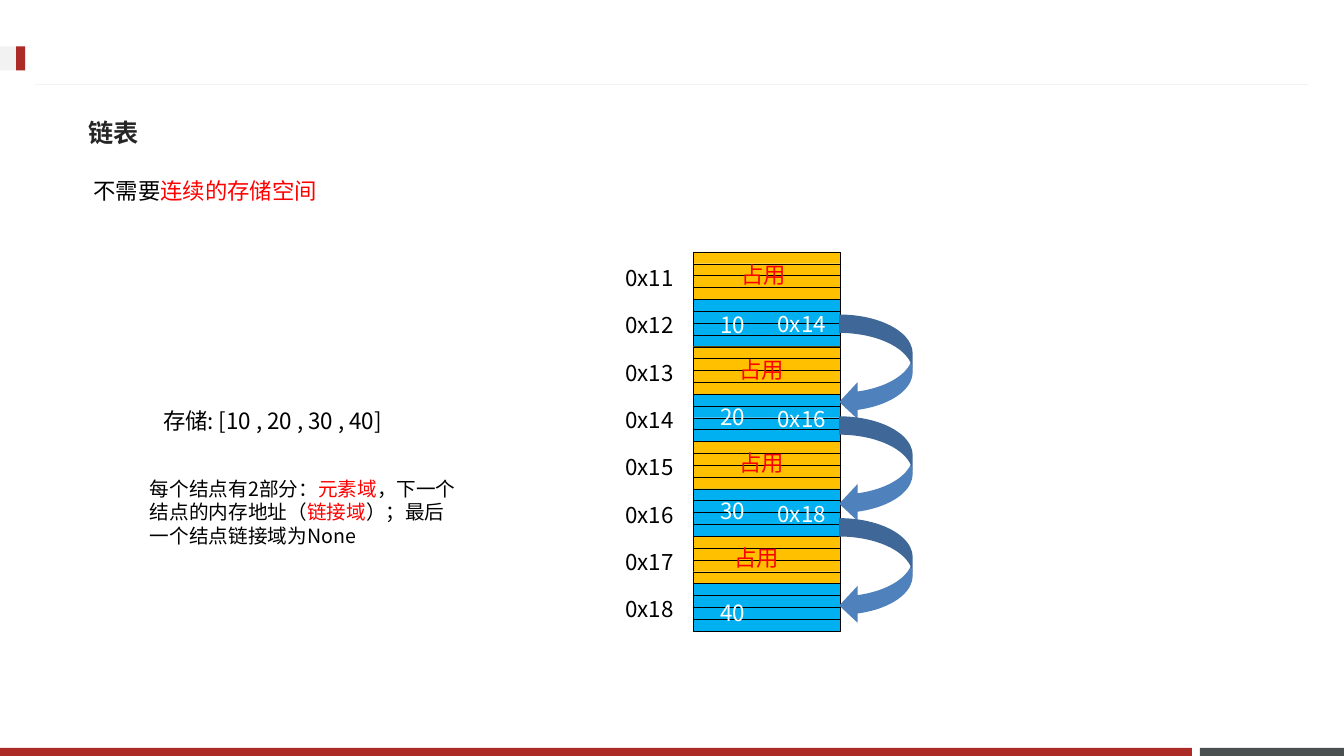
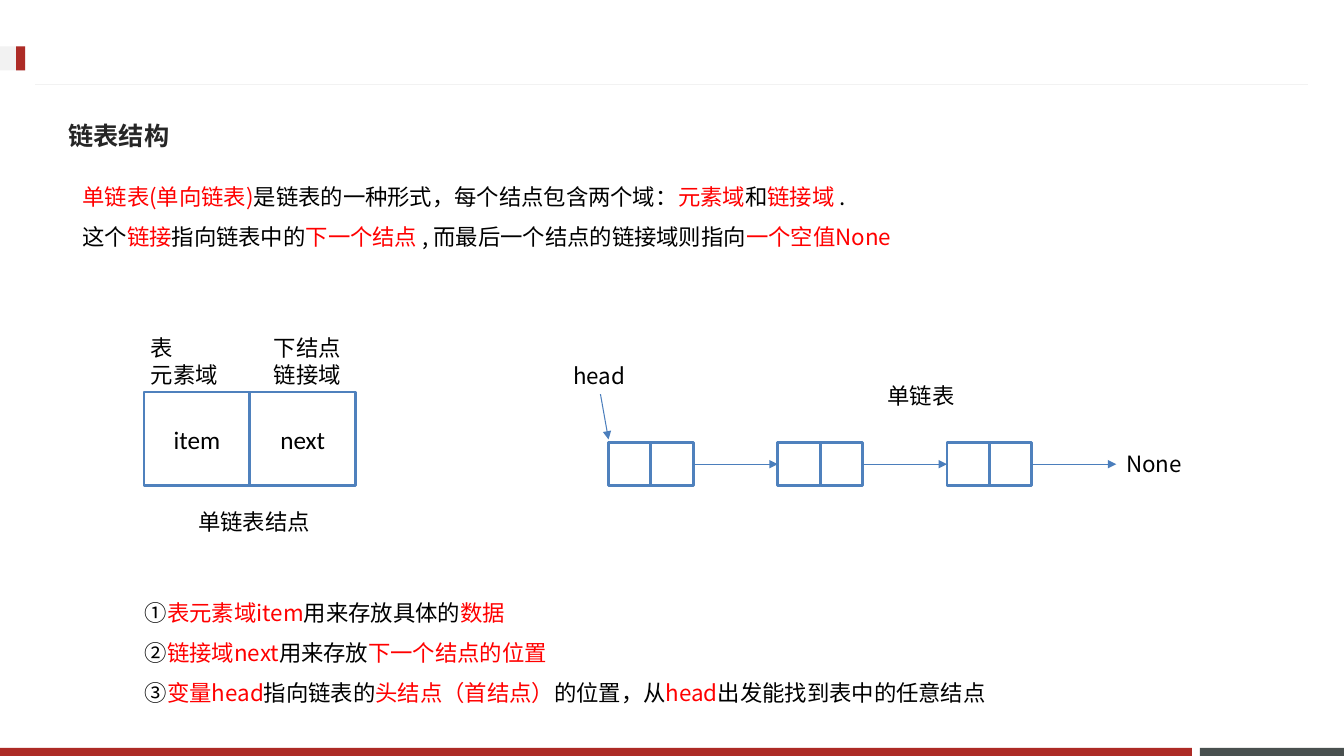
from lxml.etree import SubElement
from pptx import Presentation
from pptx.dml.color import RGBColor
from pptx.enum.shapes import MSO_CONNECTOR, MSO_SHAPE
from pptx.enum.text import MSO_ANCHOR, MSO_AUTO_SIZE, PP_ALIGN
from pptx.oxml.ns import qn
from pptx.util import Inches, Pt

FONT = "Noto Sans CJK SC"
TITLE_FONT = "Noto Sans CJK JP"
BLACK, WHITE, RED = "000000", "FFFFFF", "FF0000"
BRAND, SLATE, PALE = "AD2B26", "49504F", "F2F2F2"
USED, FREE = "FFC000", "00B0F0"
BLUE, ARROW_BLUE, TITLE_INK = "4F81BD", "4B7EBC", "262626"
LABEL_HEIGHT = 0.37


def rgb(value):
    return RGBColor.from_string(value)


def apply(target, **values):
    for name, value in values.items():
        setattr(target, name, value)


def add_span(para, text, color, size=16, font=FONT, bold=False):
    span = para.add_run()
    span.text = text
    apply(span.font, name=font, size=Pt(size), bold=bold)
    span.font.color.rgb = rgb(color)
    SubElement(span.font._element, qn("a:ea"), typeface=font)


def add_text(page, left, top, width, height, *lines, color=BLACK, size=16,
             wrap=False, spacing=None):
    """Add a text box; in each line, every second part between bars is red."""
    box = page.shapes.add_textbox(*map(Inches, (left, top, width, height)))
    frame = box.text_frame
    apply(frame, word_wrap=wrap, auto_size=MSO_AUTO_SIZE.SHAPE_TO_FIT_TEXT)
    for number, line in enumerate(lines):
        para = frame.add_paragraph() if number else frame.paragraphs[0]
        if spacing:
            para.line_spacing = spacing
        for part, text in enumerate(line.split("|")):
            if text:
                add_span(para, text, RED if part % 2 else color, size)
    return box


def add_box(page, left, top, width, height, fill, line=None, line_width=1,
            kind=MSO_SHAPE.RECTANGLE):
    box = page.shapes.add_shape(kind, *map(Inches, (left, top, width, height)))
    box.shadow.inherit = False
    box.fill.solid()
    box.fill.fore_color.rgb = rgb(fill)
    if line:
        box.line.color.rgb = rgb(line)
        box.line.width = Pt(line_width)
    else:
        box.line.fill.background()
    return box


def add_line(page, start, end, color, arrow=False):
    line = page.shapes.add_connector(MSO_CONNECTOR.STRAIGHT,
                                     *map(Inches, (*start, *end)))
    line.line.color.rgb = rgb(color)
    line.line.width = Pt(0.75)
    properties = line.element.spPr
    if arrow:
        SubElement(properties.find(qn("a:ln")), qn("a:tailEnd"), type="triangle")
    SubElement(properties, qn("a:effectLst"))
    return line


def add_frame(page):
    """Draw the bands and header rule, then hand them to the shared layout."""
    parts = [
        add_box(page, 11.91, 7.42, 1.43, 0.08, SLATE),
        add_box(page, 0, 7.42, 11.83, 0.08, BRAND),
        add_line(page, (12.98, 0.84), (0.35, 0.84), PALE),
        add_box(page, 0, 0.46, 0.25, 0.24, PALE),
        add_box(page, 0.16, 0.46, 0.09, 0.24, BRAND),
    ]
    for number, part in enumerate(parts, start=101):
        part.element.xpath("./*/p:cNvPr")[0].set("id", str(number))
        page.slide_layout.shapes.element.append(part.element)


def add_page(deck, title, left, top):
    page = deck.slides.add_slide(deck.slide_layouts[5])
    box = page.shapes.title
    apply(box, left=Inches(left), top=Inches(top),
          width=Inches(11.76), height=Inches(0.57))
    apply(box.text_frame, vertical_anchor=MSO_ANCHOR.MIDDLE,
          auto_size=MSO_AUTO_SIZE.NONE, word_wrap=True)
    para = box.text_frame.paragraphs[0]
    para.alignment = PP_ALIGN.LEFT
    add_span(para, title, TITLE_INK, 18, TITLE_FONT, True)
    return page


def add_memory(page, left, top):
    """Draw the column of memory cells with addresses, contents and links."""
    width, cell_height, strips = 1.46, 0.47, 4
    strip_height = cell_height / strips
    # Content, its offset from the cell's corner, address of the next node
    cells = [
        ("占用", 0.38, 0.04, None),
        ("10", 0.17, 0.07, "0x14"),
        ("占用", 0.36, 0.04, None),
        ("20", 0.17, 0.04, "0x16"),
        ("占用", 0.36, 0.03, None),
        ("30", 0.17, 0.03, "0x18"),
        ("占用", 0.31, 0.03, None),
        ("40", 0.17, 0.1, None),
    ]
    for row, (content, shift, drop, link) in enumerate(cells):
        used = content == "占用"
        cell_top = top + row * cell_height
        for strip in range(strips):
            add_box(page, left, cell_top + strip * strip_height, width,
                    strip_height, USED if used else FREE, BLACK, 0.25)
        add_text(page, left - 0.77, cell_top + 0.07, 0.71, LABEL_HEIGHT,
                 f"0x{11 + row}")
        add_text(page, left + shift, cell_top + drop, 0.65 if used else 0.46,
                 LABEL_HEIGHT, content, color=RED if used else WHITE)
        if link:
            add_text(page, left + 0.74, cell_top + 0.06, 0.71, LABEL_HEIGHT,
                     link, color=WHITE)
    for jump in range(3):
        add_box(page, left + width - 0.01, top + 0.62 + jump * 1.01, 0.73, 1.05,
                BLUE, kind=MSO_SHAPE.CURVED_LEFT_ARROW)


def add_node(page, left, top, width, height, texts=("", "")):
    """Draw two joined cells and return them."""
    cells = []
    for column, text in enumerate(texts):
        cell = add_box(page, left + column * width, top, width, height,
                       WHITE, BLUE, 2)
        if text:
            cell.text_frame.vertical_anchor = MSO_ANCHOR.MIDDLE
            para = cell.text_frame.paragraphs[0]
            para.alignment = PP_ALIGN.CENTER
            add_span(para, text, BLACK, 18, "Calibri")
        cells.append(cell)
    return cells


def add_node_detail(page, left, top):
    add_node(page, left, top, 1.05, 0.93, ("item", "next"))
    add_text(page, left - 0.03, top - 0.62, 1.04, 0.64, "表", "元素域", wrap=True)
    add_text(page, left + 1.19, top - 0.62, 0.88, 0.64, "下结点", "链接域")
    add_text(page, left + 0.44, top + 1.1, 1.32, LABEL_HEIGHT, "单链表结点")


def add_chain(page, left, top):
    """Draw the head label, three linked nodes and the closing None."""
    width, height, pitch, count = 0.42, 0.43, 1.68, 3
    middle = top + height / 2
    nodes = [add_node(page, left + number * pitch, top, width, height)
             for number in range(count)]
    end_left = left + count * pitch
    none_label = add_text(page, end_left, middle - LABEL_HEIGHT / 2, 0.79,
                          LABEL_HEIGHT, "None")
    targets = [node[0] for node in nodes[1:]] + [none_label]
    for (_, link_cell), target in zip(nodes, targets):
        arrow = add_line(page, (left, middle), (end_left, middle),
                         ARROW_BLUE, True)
        arrow.begin_connect(link_cell, 3)
        arrow.end_connect(target, 1)
    head = add_text(page, left - 0.45, top - 0.85, 0.74, LABEL_HEIGHT, "head")
    arrow = add_line(page, (left - 0.08, top - 0.48), (left, top - 0.03),
                     ARROW_BLUE, True)
    arrow.begin_connect(head, 2)
    add_text(page, left + 2.67, top - 0.65, 0.88, LABEL_HEIGHT, "单链表")


def build_storage_page(deck):
    page = add_page(deck, "链表", 0.78, 1.03)
    add_frame(page)
    add_memory(page, 6.88, 2.5)
    add_text(page, 0.83, 1.71, 2.42, LABEL_HEIGHT, "不需要|连续的存储空间")
    add_text(page, 1.52, 3.99, 2.54, LABEL_HEIGHT, "存储: [10 , 20 , 30 , 40]")
    add_text(page, 1.39, 4.68, 3.25, 0.81,
             "每个结点有2部分：|元素域|，下一个结点的内存地址（|链接域|"
             "）；最后一个结点链接域为None", size=14, wrap=True)


def build_structure_page(deck):
    page = add_page(deck, "链表结构", 0.58, 1.06)
    add_text(page, 0.72, 1.63, 10.36, 0.86,
             "|单链表(单向链表)|是链表的一种形式，每个结点包含两个域：|元素域|和|链接域 |.",
             "这个|链接|指向链表中的|下一个结点 |, 而最后一个结点的链接域则指向|一个空值None",
             wrap=True, spacing=1.5)
    add_node_detail(page, 1.43, 3.89)
    add_chain(page, 6.04, 4.39)
    add_text(page, 1.34, 5.76, 8.68, 1.67,
             "①|表元素域item|用来存放具体的|数据",
             "②|链接域next|用来存放|下一个结点的位置",
             "③|变量head|指向链表的|头结点（首结点）|的位置，从|head|"
             "出发能找到表中的任意结点", wrap=True, spacing=1.5)


def main():
    deck = Presentation()
    apply(deck, slide_width=Inches(13.34), slide_height=Inches(7.5))
    build_storage_page(deck)
    build_structure_page(deck)
    deck.save("out.pptx")


if __name__ == "__main__":
    main()
